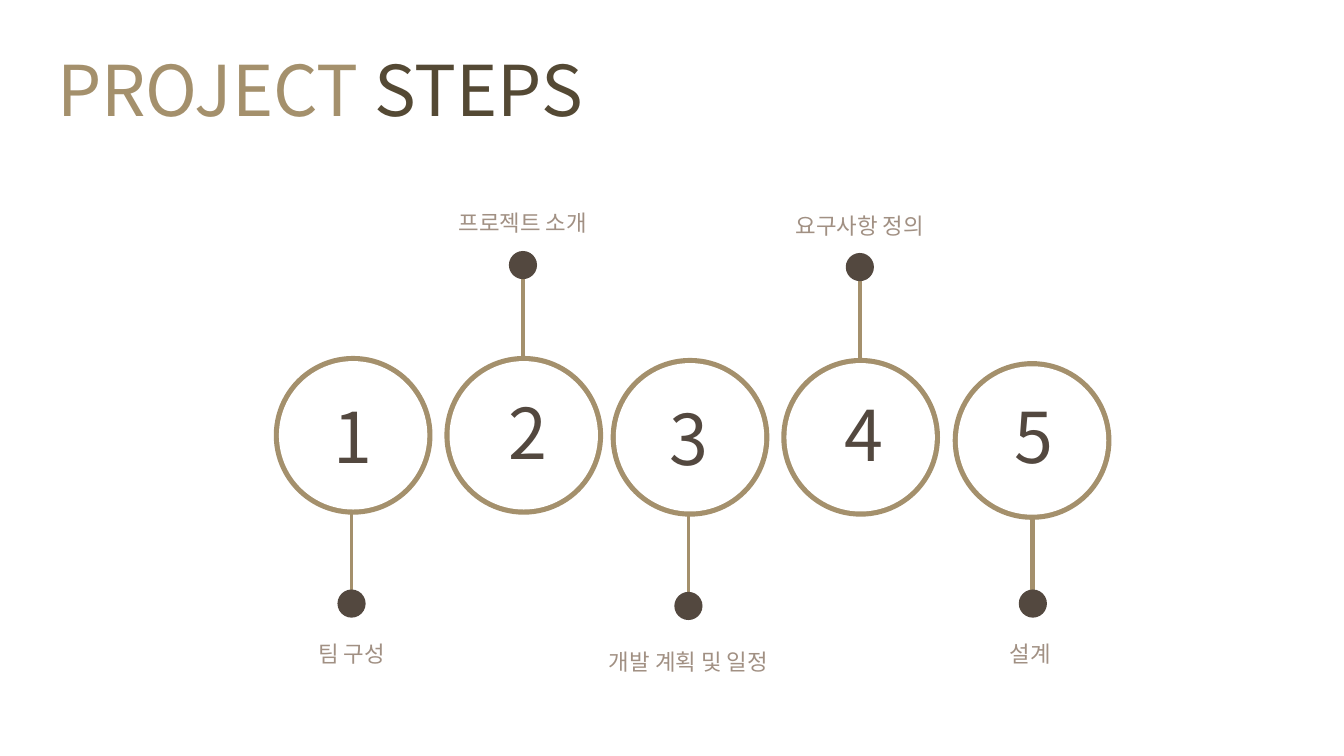
from typing import NamedTuple

from lxml.etree import SubElement
from pptx import Presentation
from pptx.dml.color import RGBColor
from pptx.enum.shapes import MSO_CONNECTOR, MSO_SHAPE
from pptx.enum.text import MSO_AUTO_SIZE, PP_ALIGN
from pptx.oxml.ns import qn
from pptx.util import Cm, Pt

GOLD = RGBColor(0xA4, 0x90, 0x6C)
OLIVE = RGBColor(0x54, 0x49, 0x34)
BROWN = RGBColor(0x53, 0x48, 0x3F)
TAUPE = RGBColor(0xA1, 0x90, 0x83)
WHITE = RGBColor(0xFF, 0xFF, 0xFF)

# Sizes in centimetres
RING, HOLE, DOT = 4.0, 3.74, 0.71
NUMBER_W, LABEL_W = 1.62, 6.15
BIG_H, LABEL_H = 2.39, 0.99


class Step(NamedTuple):
    """Positions in centimetres; every x is a centre."""
    label: str
    ring_x: float
    ring_y: float
    dot_x: float
    dot_y: float
    number_x: float
    number_top: float
    label_x: float
    label_top: float
    stem_pt: float = 2.75


STEPS = [
    Step("팀 구성", 8.9, 10.97, 8.86, 15.21, 8.9, 9.8, 8.86, 15.9),
    Step("프로젝트 소개", 13.2, 10.97, 13.18, 6.68, 13.3, 9.68, 13.18, 5.05),
    Step("개발 계획 및 일정", 17.39, 11.02, 17.35, 15.27, 17.37, 9.83, 17.35, 16.1),
    Step("요구사항 정의", 21.69, 11.02, 21.67, 6.73, 21.77, 9.73, 21.67, 5.11),
    Step("설계", 26.01, 11.1, 26.03, 15.21, 26.06, 9.8, 25.96, 15.9, 3.6),
]


class SlideBuilder:
    font = "Noto Sans CJK KR"

    def __init__(self, slide):
        self.s = slide

    def disc(self, x, y, size, color):
        """Filled circle centred on x, y."""
        sp = self.s.shapes.add_shape(
            MSO_SHAPE.OVAL, Cm(x - size / 2), Cm(y - size / 2), Cm(size), Cm(size))
        sp.shadow.inherit = False
        sp.fill.solid()
        sp.fill.fore_color.rgb = color
        sp.line.fill.background()

    def stem(self, x, y1, y2, width):
        """Vertical line without a shadow."""
        cxn = self.s.shapes.add_connector(
            MSO_CONNECTOR.STRAIGHT, Cm(x), Cm(y1), Cm(x), Cm(y2))
        cxn.line.color.rgb = GOLD
        cxn.line.width = Pt(width)
        SubElement(cxn._element.spPr, qn("a:effectLst"))

    def text(self, box, runs, size, align=PP_ALIGN.CENTER, wrap=True, spacing=None):
        """Text box holding one paragraph of (text, colour) runs."""
        tf = self.s.shapes.add_textbox(*map(Cm, box)).text_frame
        tf.word_wrap = wrap
        tf.auto_size = MSO_AUTO_SIZE.SHAPE_TO_FIT_TEXT
        p = tf.paragraphs[0]
        p.alignment = align
        p.line_spacing = spacing
        for text, color in runs:
            r = p.add_run()
            r.text = text
            r.font.size = Pt(size)
            r.font.name = self.font
            r.font.color.rgb = color
            SubElement(r._r.get_or_add_rPr(), qn("a:ea"), typeface=self.font)

    def step(self, number, step):
        # Stem runs from the ring's edge to the centre of the dot
        side = 1 if step.dot_y > step.ring_y else -1
        self.stem(step.dot_x, step.ring_y + side * (RING / 2 - 0.1),
                  step.dot_y, step.stem_pt)
        self.disc(step.ring_x, step.ring_y, RING, GOLD)
        self.disc(step.ring_x, step.ring_y, HOLE, WHITE)
        self.disc(step.dot_x, step.dot_y, DOT, BROWN)
        # Number and label
        self.text((step.number_x - NUMBER_W / 2, step.number_top, NUMBER_W, BIG_H),
                  [(str(number), BROWN)], 50, wrap=False)
        self.text((step.label_x - LABEL_W / 2, step.label_top, LABEL_W, LABEL_H),
                  [(step.label, TAUPE)], 16, spacing=Pt(22.2))


def main():
    prs = Presentation()
    prs.slide_width, prs.slide_height = Cm(33.87), Cm(19.05)
    builder = SlideBuilder(prs.slides.add_slide(prs.slide_layouts[6]))

    # Title
    builder.text((1.19, 1.04, 14.58, BIG_H),
                 [("PROJECT ", GOLD), ("STEPS", OLIVE)], 50, align=PP_ALIGN.LEFT)

    # Step chain
    for number, step in enumerate(STEPS, 1):
        builder.step(number, step)

    prs.save("out.pptx")


if __name__ == "__main__":
    main()
